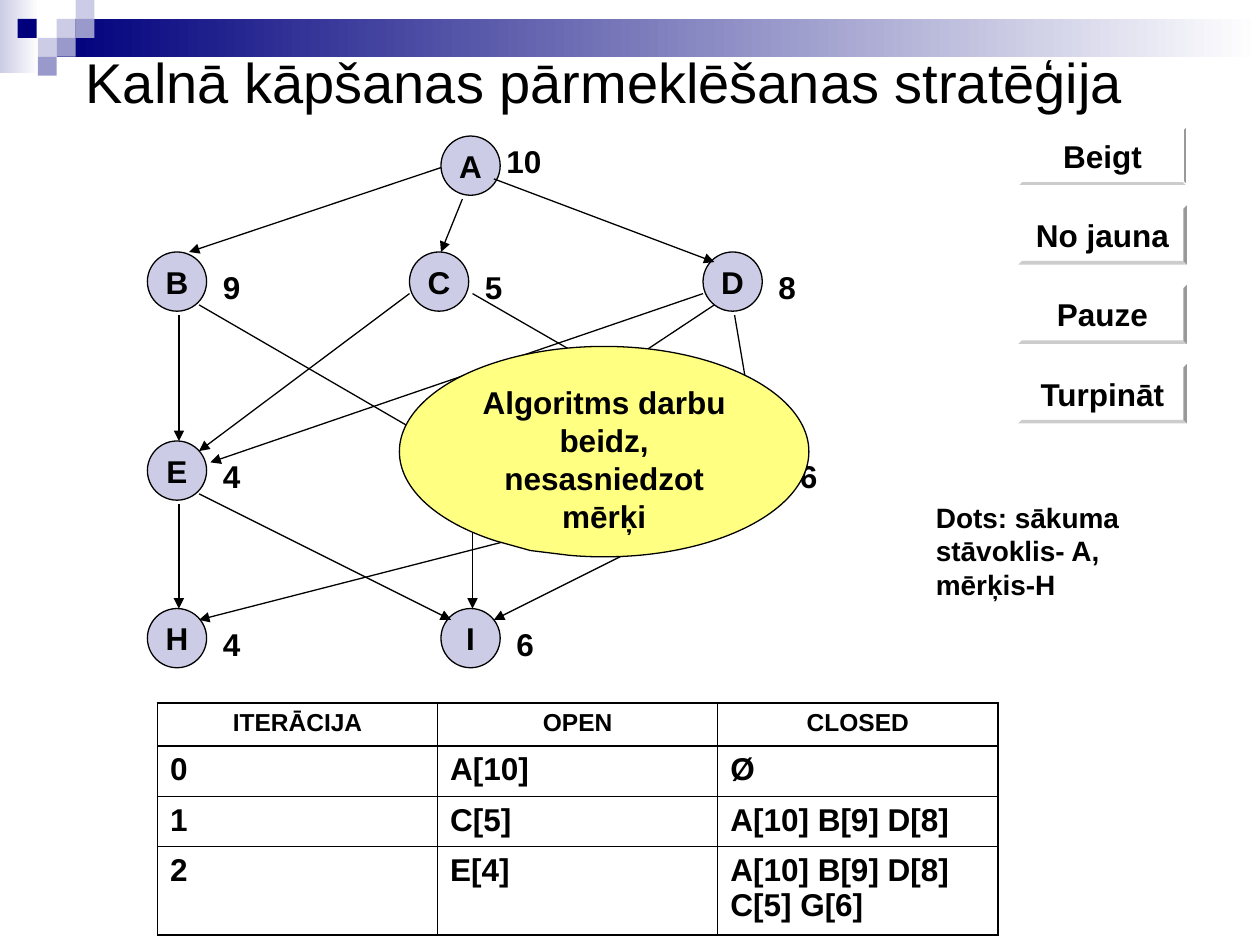
import dataclasses
from typing import Any

import lxml.etree
import pptx
import pptx.dml.color
import pptx.enum.shapes
import pptx.enum.text
import pptx.oxml.ns
import pptx.util

Inches = pptx.util.Inches
Shape = pptx.enum.shapes.MSO_SHAPE
Anchor = pptx.enum.text.MSO_ANCHOR
Align = pptx.enum.text.PP_ALIGN
Fit = pptx.enum.text.MSO_AUTO_SIZE
qn = pptx.oxml.ns.qn

BLACK, WHITE, NAVY, PALE, MID, YELLOW = (
    "000000", "FFFFFF", "00007D", "CCCCE6", "9999CC", "FFFF81")
SIDE = 0.47
TILE = 0.15
STRONG = {"name": "Arial", "size": pptx.util.Pt(18), "bold": True}


@dataclasses.dataclass
class Node:
    x: float
    y: float
    name: str = ""
    cost: str = ""
    right: float = 0.5
    down: float = 0.08
    wide: float = 0.42


@dataclasses.dataclass
class Edge:
    x1: float
    y1: float
    x2: float
    y2: float


@dataclasses.dataclass
class Tile:
    x: float
    y: float
    color: str


NODES = [
    Node(3.5, 1.08, "A", "10", 0.42, 0, 0.58),
    Node(1.17, 2, "B", "9"),
    Node(3.25, 2, "C", "5"),
    Node(5.58, 2, "D", "8"),
    Node(1.17, 3.5, "E", "4"),
    Node(3.5, 3.5),
    Node(5.83, 3.5, "", "6", 0.42),
    Node(1.17, 4.83, "H", "4"),
    Node(3.5, 4.83, "I", "6"),
]
EDGES = [
    Edge(3.5, 1.33, 1.5, 2), Edge(3.67, 1.58, 3.5, 2),
    Edge(3.92, 1.42, 5.67, 2.08), Edge(1.42, 2.5, 1.42, 3.5),
    Edge(1.58, 2.42, 3.58, 3.58), Edge(3.25, 2.33, 1.58, 3.58),
    Edge(3.75, 2.33, 5.92, 3.58), Edge(5.58, 2.33, 1.67, 3.67),
    Edge(5.67, 2.42, 3.92, 3.58), Edge(1.42, 4, 1.42, 4.83),
    Edge(1.58, 3.92, 3.58, 4.92), Edge(3.75, 4, 3.75, 4.83),
    Edge(5.83, 3.83, 1.58, 4.92), Edge(5.92, 3.92, 3.92, 4.92),
    Edge(5.83, 2.5, 6, 3.5),
]
TILES = [
    Tile(0.45, 0.15, PALE), Tile(0.6, 0, PALE), Tile(0.6, 0.15, MID),
    Tile(0.3, 0.3, PALE), Tile(0.14, 0.15, NAVY),
    Tile(0.45, 0.3, MID), Tile(0.3, 0.45, MID),
]
LABELS = ["Beigt", "No jauna", "Pauze", "Turpināt"]
ROWS = [
    ["ITERĀCIJA", "OPEN", "CLOSED"],
    ["0", "A[10]", "Ø"],
    ["1", "C[5]", "A[10] B[9] D[8]"],
    ["2", "E[4]", "A[10] B[9] D[8] C[5] G[6]"],
]
HEIGHTS = [0.34, 0.4, 0.4, 0.7]


def tint(target: Any, color: str) -> None:
    target.rgb = pptx.dml.color.RGBColor.from_string(color)


def apply(target: Any, form: dict[str, Any]) -> None:
    for key, value in form.items():
        setattr(target, key, value)


def write(frame: Any, text: str, size: float = 18, bold: bool = True,
          align: Any = Align.LEFT, **form: Any) -> None:
    frame.text = text
    apply(frame, form)
    part = frame.paragraphs[0]
    part.alignment = align
    apply(part.font, STRONG | {"size": pptx.util.Pt(size), "bold": bold})
    tint(part.font.color, BLACK)


def draw(slide: Any, kind: Any, x: float, y: float, w: float, h: float,
         color: str, line: str = "", fade: bool = False) -> Any:
    shape = slide.shapes.add_shape(kind, Inches(x), Inches(y), Inches(w), Inches(h))
    shape.shadow.inherit = False
    if fade:
        shape.fill.gradient()
        shape.fill.gradient_angle = 0
        for stop, shade in zip(shape.fill.gradient_stops, (color, WHITE)):
            tint(stop.color, shade)
    else:
        shape.fill.solid()
        tint(shape.fill.fore_color, color)
    if line:
        tint(shape.line.color, line)
        shape.line.width = pptx.util.Pt(0.75)
    else:
        shape.line.fill.background()
    return shape


def note(slide: Any, x: float, y: float, w: float, h: float,
         text: str, size: float = 18) -> None:
    box = slide.shapes.add_textbox(Inches(x), Inches(y), Inches(w), Inches(h))
    write(box.text_frame, text, size, word_wrap=True, auto_size=Fit.SHAPE_TO_FIT_TEXT)


def link(slide: Any, edge: Edge) -> None:
    ends = [Inches(value) for value in dataclasses.astuple(edge)]
    wire = slide.shapes.add_connector(pptx.enum.shapes.MSO_CONNECTOR.STRAIGHT, *ends)
    tint(wire.line.color, BLACK)
    wire.line.width = pptx.util.Pt(0.75)
    form = wire._element.spPr
    lxml.etree.SubElement(form.find(qn("a:ln")), qn("a:tailEnd"), type="triangle")
    lxml.etree.SubElement(form, qn("a:effectLst"))


def rule(cell: Any, side: str, width: float) -> None:
    form = cell._tc.get_or_add_tcPr()
    line = lxml.etree.SubElement(form, qn(f"a:ln{side}"), w=str(pptx.util.Pt(width)))
    fill = lxml.etree.SubElement(line, qn("a:solidFill"))
    lxml.etree.SubElement(fill, qn("a:srgbClr"), val=BLACK)


def grid(slide: Any) -> None:
    rows, cols = len(ROWS), len(ROWS[0])
    table = slide.shapes.add_table(rows, cols, Inches(1.25), Inches(5.58),
                                   Inches(6.67), Inches(sum(HEIGHTS))).table
    apply(table, {"first_row": False, "horz_banding": False})
    for r, texts in enumerate(ROWS):
        table.rows[r].height = Inches(HEIGHTS[r])
        for c, text in enumerate(texts):
            cell = table.cell(r, c)
            thick = {"L": c == 0, "R": c == cols - 1,
                     "T": r < 2, "B": r in (0, rows - 1)}
            for side, heavy in thick.items():
                rule(cell, side, 1.08 if heavy else 0.45)
            cell.fill.background()
            head = r == 0
            write(cell.text_frame, text, 14 if head else 18,
                  align=Align.CENTER if head else Align.LEFT)


def main() -> None:
    deck = pptx.Presentation()
    apply(deck, {"slide_width": Inches(10), "slide_height": Inches(7.5)})
    slide = deck.slides.add_slide(deck.slide_layouts[5])

    draw(slide, Shape.RECTANGLE, 0, 0, 0.31, 0.58, PALE, fade=True)
    draw(slide, Shape.RECTANGLE, 0.45, 0.15, 9.55, 0.3, NAVY, fade=True)
    for tile in TILES:
        draw(slide, Shape.RECTANGLE, tile.x, tile.y, TILE, TILE, tile.color)

    title = slide.shapes.title
    apply(title, {"left": Inches(0.58), "top": Inches(0.33),
                  "width": Inches(8.74), "height": Inches(0.64)})
    write(title.text_frame, "Kalnā kāpšanas pārmeklēšanas stratēģija", 32, False,
          vertical_anchor=Anchor.TOP, word_wrap=True, auto_size=Fit.NONE)
    slide.shapes._spTree.append(title._element)

    middle = {"align": Align.CENTER, "vertical_anchor": Anchor.MIDDLE, "word_wrap": False}
    for node in NODES:
        disc = draw(slide, Shape.OVAL, node.x, node.y, SIDE, SIDE, PALE, BLACK)
        if node.name:
            write(disc.text_frame, node.name, **middle)
    for i, label in enumerate(LABELS):
        key = draw(slide, Shape.BEVEL, 8.08, 1 + 0.63 * i, 1.34, SIDE, WHITE,
                   "" if i else WHITE)
        key.adjustments[0] = 0.06
        write(key.text_frame, label, **middle)
    for edge in EDGES:
        link(slide, edge)
    for node in NODES:
        if node.cost:
            note(slide, node.x + node.right, node.y + node.down, node.wide, 0.4, node.cost)

    grid(slide)
    note(slide, 7.33, 3.92, 2, 0.9, "Dots: sākuma stāvoklis- A, mērķis-H", 16)
    cloud = draw(slide, Shape.OVAL_CALLOUT, 3.17, 2.75, 3.25, 1.67, YELLOW, BLACK)
    cloud.adjustments[0], cloud.adjustments[1] = -0.18, 0.47
    write(cloud.text_frame, "Algoritms darbu beidz, nesasniedzot mērķi",
          align=Align.CENTER, vertical_anchor=Anchor.TOP, word_wrap=True)
    deck.save("out.pptx")


if __name__ == "__main__":
    main()
